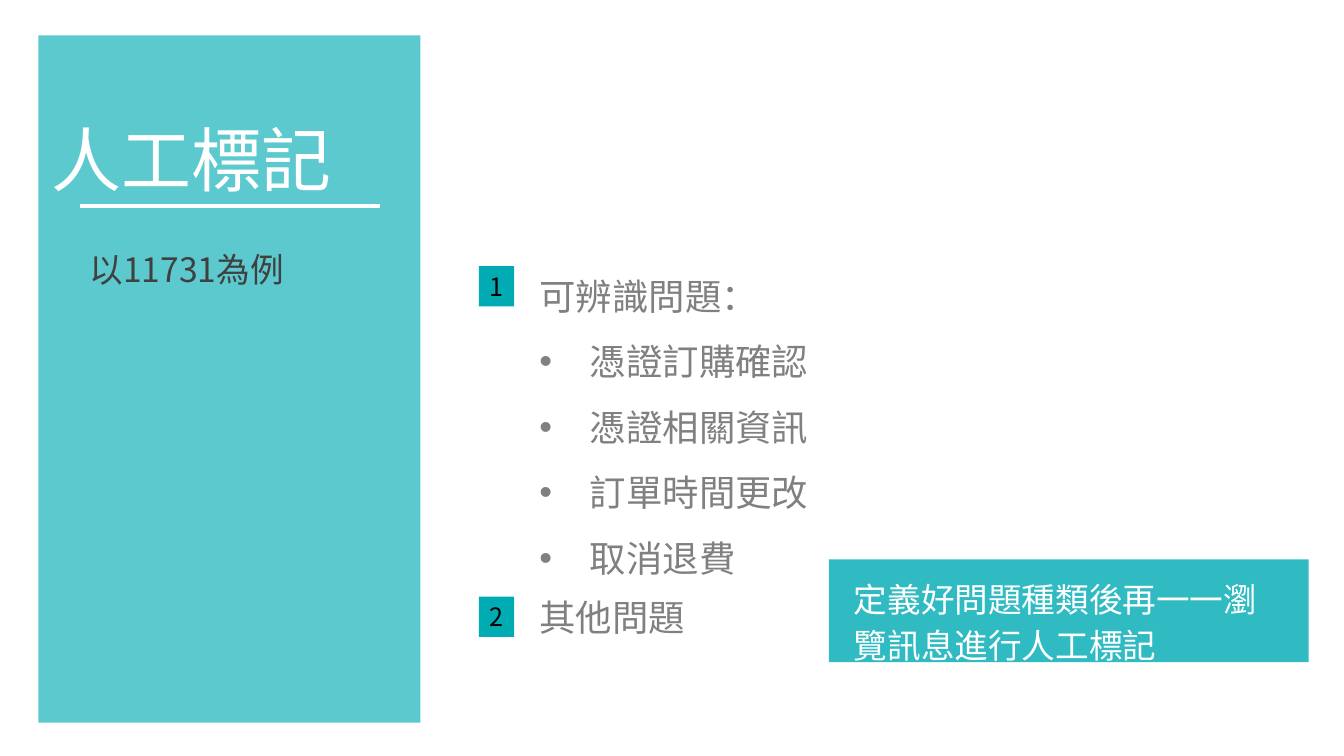
from dataclasses import dataclass

from lxml.etree import SubElement
from pptx import Presentation
from pptx.dml.color import RGBColor
from pptx.enum.shapes import MSO_CONNECTOR as Connector, MSO_SHAPE as Preset
from pptx.enum.text import MSO_ANCHOR as Anchor, MSO_AUTO_SIZE as AutoSize, PP_ALIGN as Align
from pptx.oxml.ns import qn
from pptx.util import Inches, Pt


@dataclass(frozen=True)
class Theme:
    """Colours, fonts and type sizes of the slide."""
    teal: str = "00ABB4"
    white: str = "FFFFFF"
    black: str = "000000"
    dark: str = "404040"
    grey: str = "808080"
    sans: str = "Noto Sans CJK SC"
    subtitle_font: str = "Noto Sans CJK JP"
    body_font: str = "TeX Gyre Adventor"
    title_size: int = 50
    body_size: int = 26
    note_size: int = 24
    badge_size: int = 18


THEME = Theme()


def format_text(frame, font, size, colour, spacing=1.0, align=Align.LEFT, wrap=True):
    """Apply one type style to every paragraph of a text frame."""
    frame.word_wrap = wrap
    frame.auto_size = AutoSize.NONE
    for paragraph in frame.paragraphs:
        paragraph.alignment = align
        paragraph.line_spacing = spacing
        paragraph.space_before = Pt(0)
        for run in paragraph.runs:
            run.font.name = font
            run.font.size = Pt(size)
            run.font.color.rgb = RGBColor.from_string(colour)
            SubElement(run._r.get_or_add_rPr(), qn("a:ea"), typeface=font)


def place(shape, left, top, width, height):
    """Move a placeholder to a box given in inches."""
    shape.left, shape.top = Inches(left), Inches(top)
    shape.width, shape.height = Inches(width), Inches(height)


def add_text(slide, text, left, top, width, height):
    """Add a text box and return its text frame."""
    box = slide.shapes.add_textbox(Inches(left), Inches(top), Inches(width), Inches(height))
    box.text_frame.text = text
    return box.text_frame


def add_block(slide, left, top, width, height, opacity=100):
    """Add a teal rectangle with the given opacity in percent."""
    block = slide.shapes.add_shape(
        Preset.RECTANGLE, Inches(left), Inches(top), Inches(width), Inches(height))
    block.shadow.inherit = False
    block.fill.solid()
    block.fill.fore_color.rgb = RGBColor.from_string(THEME.teal)
    block.line.fill.background()
    if opacity < 100:
        colour = block.element.spPr.find(f"{qn('a:solidFill')}/{qn('a:srgbClr')}")
        SubElement(colour, qn("a:alpha"), val=str(opacity * 1000))
    return block


def add_badge(slide, number, left, top):
    """Add a numbered square badge."""
    badge = add_block(slide, left, top, 0.35, 0.4)
    badge.text_frame.text = str(number)
    badge.text_frame.vertical_anchor = Anchor.MIDDLE
    format_text(badge.text_frame, THEME.sans, THEME.badge_size, THEME.black,
                align=Align.CENTER, wrap=False)


def build_title_panel(slide, left, top, width, height):
    """Build the side panel with title, rule and subtitle."""
    panel = add_block(slide, left, top, width, height, opacity=64)
    title = slide.shapes.title
    title.element.addprevious(panel.element)
    place(title, left + 0.03, top + 0.75, 3.01, 0.94)
    title.text_frame.text = "人工標記"
    title.text_frame.vertical_anchor = Anchor.MIDDLE
    format_text(title.text_frame, THEME.sans, THEME.title_size, THEME.white)

    rule_left, rule_top = left + 0.41, top + 1.69
    rule = slide.shapes.add_connector(
        Connector.STRAIGHT, Inches(rule_left), Inches(rule_top),
        Inches(left + width - 0.4), Inches(rule_top))
    rule.line.color.rgb = RGBColor.from_string(THEME.white)
    rule.line.width = Pt(3)
    SubElement(rule.element.spPr, qn("a:effectLst"))

    subtitle = add_text(slide, "以11731為例", rule_left, top + 2.01, 2.7, 0.56)
    format_text(subtitle, THEME.subtitle_font, THEME.note_size, THEME.dark, 1.14)


def build_questions(slide, left, top):
    """Build the two numbered question groups."""
    text_left = left + 0.5
    questions = slide.placeholders[1]
    place(questions, text_left, top, 4.1, 3.3)
    questions.text_frame.text = "\n".join(
        ["可辨識問題：", "憑證訂購確認", "憑證相關資訊", "訂單時間更改", "取消退費"])
    format_text(questions.text_frame, THEME.body_font, THEME.body_size, THEME.grey, 1.5)
    for index, paragraph in enumerate(questions.text_frame.paragraphs):
        properties = paragraph._p.get_or_add_pPr()
        indent = Inches(0.5) if index else 0
        properties.set("marL", str(indent))
        properties.set("indent", str(-indent))
        if index:
            SubElement(properties, qn("a:buChar"), char="•")
        else:
            SubElement(properties, qn("a:buNone"))

    others = add_text(slide, "其他問題", text_left, top + 3.41, 5.93, 0.54)
    format_text(others, THEME.body_font, THEME.body_size, THEME.grey)
    for number, offset in enumerate((0.19, 3.47), start=1):
        add_badge(slide, number, left, top + offset)


def build_note(slide, left, top, width, height):
    """Build the highlighted note."""
    add_block(slide, left, top, width, height, opacity=81)
    note = add_text(slide, "定義好問題種類後再一一瀏覽訊息進行人工標記",
                    left + 0.15, top + 0.09, width - 0.3, 0.98)
    format_text(note, THEME.body_font, THEME.note_size, THEME.white, 1.14)


def main():
    """Build and save the presentation."""
    deck = Presentation()
    deck.slide_width, deck.slide_height = Inches(13.33), Inches(7.5)
    slide = deck.slides.add_slide(deck.slide_layouts[1])
    build_title_panel(slide, 0.38, 0.35, 3.79, 6.82)
    build_questions(slide, 4.75, 2.45)
    build_note(slide, 8.22, 5.55, 4.76, 1.02)
    deck.save("out.pptx")


if __name__ == "__main__":
    main()
